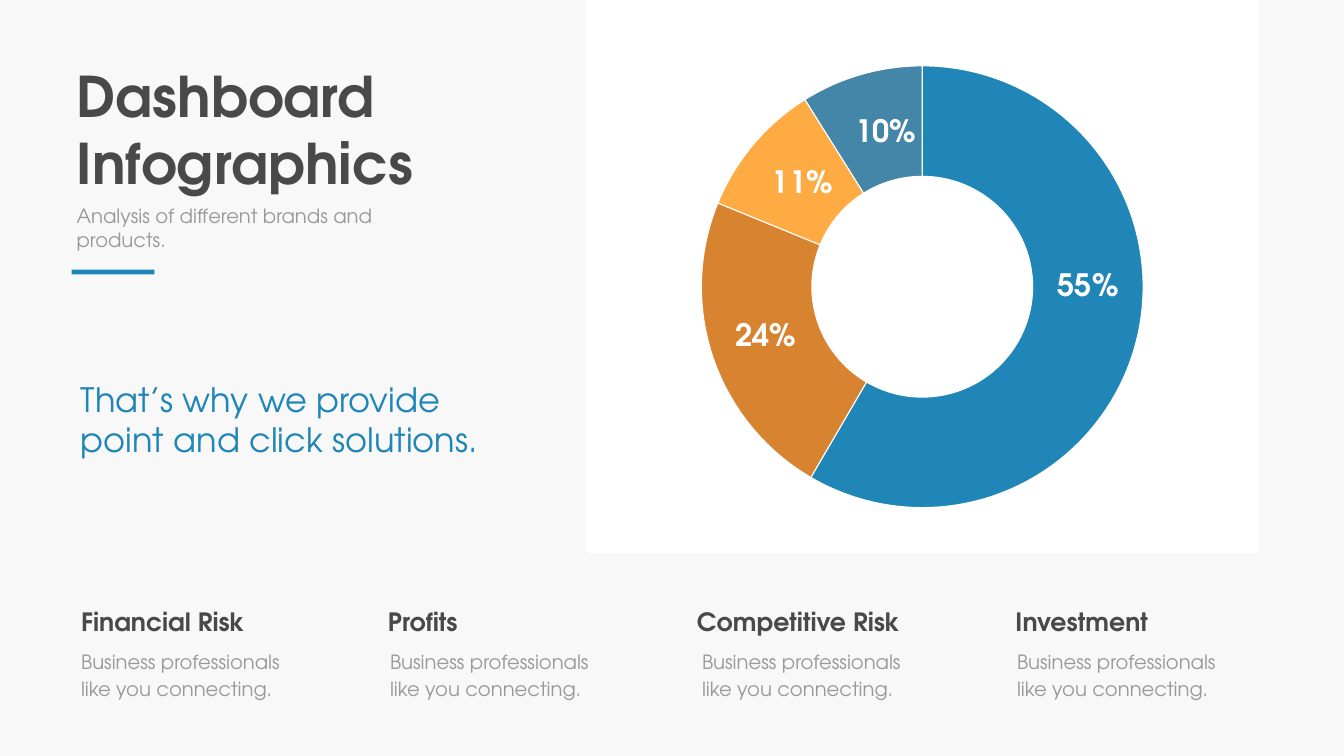
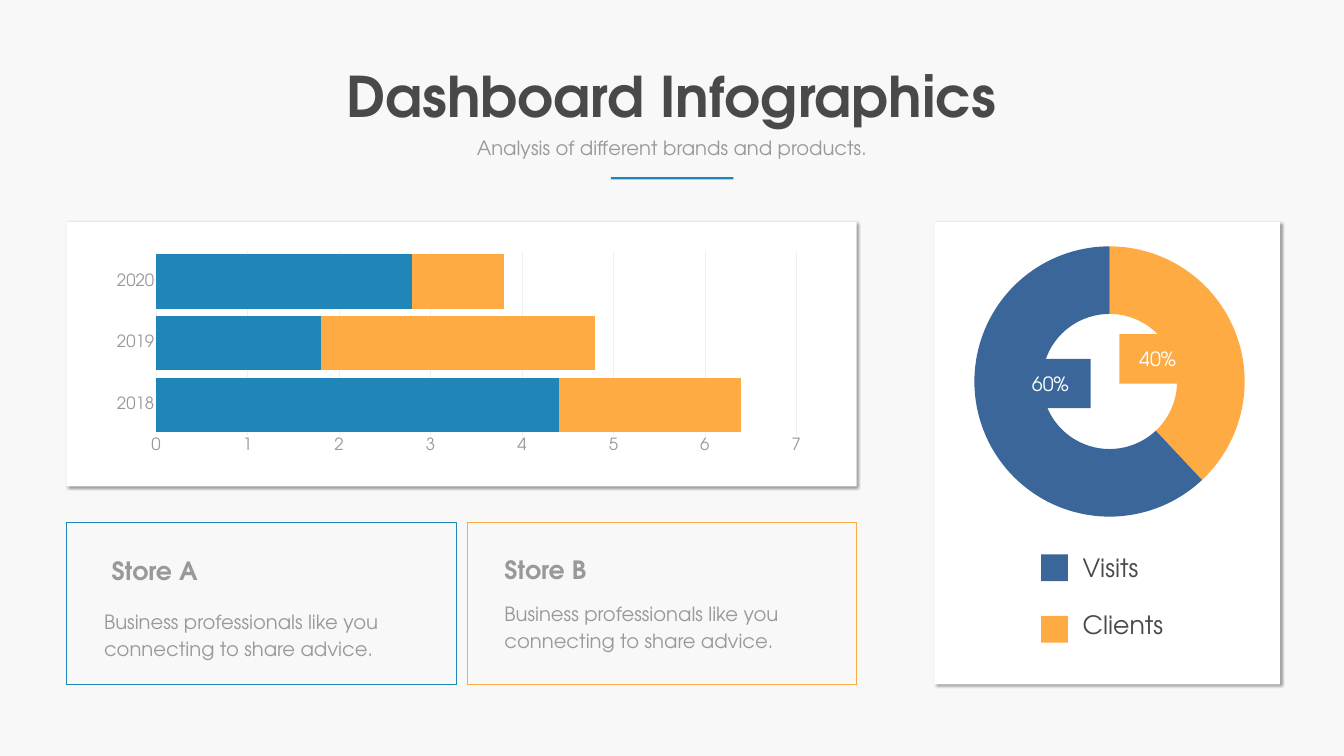
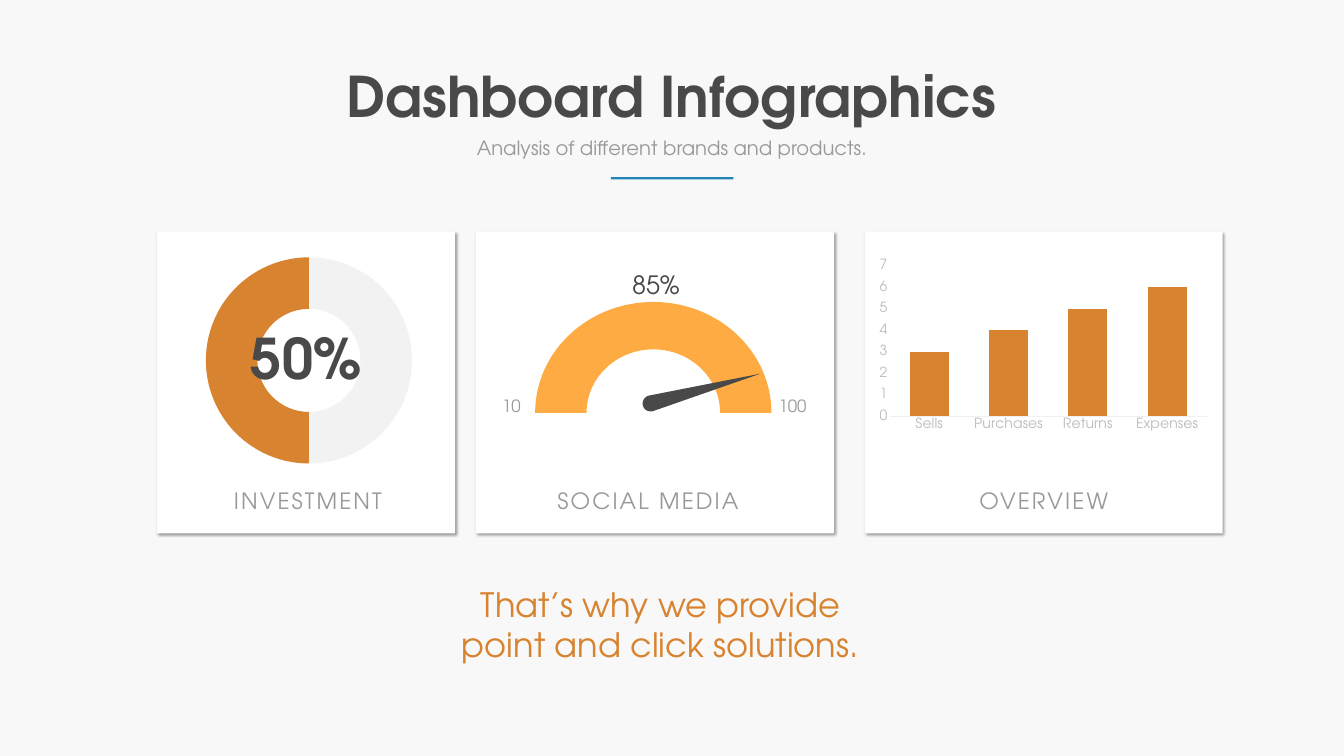
import math

import lxml.etree
import pptx
import pptx.chart.data
import pptx.dml.color
import pptx.enum.chart
import pptx.enum.shapes
import pptx.enum.text
import pptx.oxml
import pptx.oxml.ns
import pptx.util

Pt = pptx.util.Pt
qn = pptx.oxml.ns.qn
ALIGN = pptx.enum.text.PP_ALIGN
CHART = pptx.enum.chart.XL_CHART_TYPE

FONT = "TeX Gyre Adventor"
COLORS = {
    "page": "F8F8F8", "white": "FFFFFF", "dark": "494949", "gray": "999999",
    "pale": "BDBDBD", "grid": "F0F0F0", "empty": "F2F2F2", "blue": "2086B7",
    "steel": "4486A7", "navy": "3A6699", "orange": "D78330", "amber": "FEAB44",
    "black": "000000",
}
QUOTE = "That’s why we provide point and click solutions."

# Header arrangements: title, subtitle and rule boxes
HEADER_LEFT = {"title": (102.4, 84.2, 646, 201), "subtitle": (102.4, 288, 465, 75),
               "rule": (102.4, 385, 118, 7), "align": ALIGN.LEFT, "wrap": True}
HEADER_CENTER = {"title": (481.7, 84.2, 955.4, 104.4), "subtitle": (615.6, 190.8, 688.3, 41),
                 "rule": (872.6, 253.2, 175, 3), "align": ALIGN.CENTER, "wrap": False}


def color(name):
    return pptx.dml.color.RGBColor.from_string(COLORS[name])


def lengths(*values):
    return [Pt(v) for v in values]


def write(tf, text, size, tint, bold=False, align=ALIGN.LEFT, leading=None, tracking=None):
    p = tf.paragraphs[0]
    p.alignment = align
    if leading:
        p.line_spacing = Pt(leading)
    r = p.add_run()
    r.text = text
    r.font.name, r.font.size, r.font.bold = FONT, Pt(size), bold
    r.font.color.rgb = color(tint)
    if tracking:
        r._r.get_or_add_rPr().set("spc", str(tracking * 100))


def add_text(shapes, box, text, size, tint, **style):
    tf = shapes.add_textbox(*lengths(*box)).text_frame
    tf.word_wrap = True
    tf.auto_size = pptx.enum.text.MSO_AUTO_SIZE.SHAPE_TO_FIT_TEXT
    write(tf, text, size, tint, **style)


def paint(sp, fill=None, line=None):
    sp.shadow.inherit = False
    if fill:
        sp.fill.solid()
        sp.fill.fore_color.rgb = color(fill)
    else:
        sp.fill.background()
    if line:
        sp.line.color.rgb = color(line)
        sp.line.width = Pt(1)
    else:
        sp.line.fill.background()
    return sp


def add_rect(shapes, box, fill=None, line=None):
    kind = pptx.enum.shapes.MSO_SHAPE.RECTANGLE
    return paint(shapes.add_shape(kind, *lengths(*box)), fill, line)


def add_card(shapes, box):
    """White panel with a soft shadow to the lower right."""
    sp = add_rect(shapes, box, "white")
    effects = sp._element.spPr.find(qn("a:effectLst"))
    shadow = lxml.etree.SubElement(
        effects, qn("a:outerShdw"), blurRad=str(Pt(4)), dist=str(Pt(3)),
        dir=str(45 * 60000), algn="tl", rotWithShape="0")
    tint = lxml.etree.SubElement(shadow, qn("a:srgbClr"), val=COLORS["black"])
    lxml.etree.SubElement(tint, qn("a:alpha"), val="40000")


def arc(cx, cy, rx, ry, *stops):
    """Start point of an elliptic arc, then one Bezier curve from stop to stop."""
    def at(a, pull=0):
        return (cx + rx * (math.cos(a) - pull * math.sin(a)),
                cy + ry * (math.sin(a) + pull * math.cos(a)))

    angles = [math.radians(stop) for stop in stops]
    segments = [[at(angles[0])]]
    for a, b in zip(angles, angles[1:]):
        pull = 4 / 3 * math.tan((b - a) / 4)
        segments.append([at(a, pull), at(b, -pull), at(b)])
    return segments


def add_outline(shapes, x, y, segments, fill):
    """Closed outline; a segment is one point (line) or three (curve)."""
    segments = [[lengths(x + px, y + py) for px, py in seg] for seg in segments]
    ends = [seg[-1] for seg in segments]
    builder = shapes.build_freeform(*ends[0], scale=1.0)
    builder.add_line_segments(ends[1:], close=True)
    sp = paint(builder.convert_to_shape(), fill)
    outline = next(sp._element.iter(qn("a:path")))
    for line, seg in zip(outline.findall(qn("a:lnTo")), segments[1:]):
        if len(seg) == 3:
            curve = lxml.etree.Element(qn("a:cubicBezTo"))
            for px, py in seg:
                lxml.etree.SubElement(curve, qn("a:pt"), x=str(px - sp.left), y=str(py - sp.top))
            outline.replace(line, curve)
    return sp


def add_chart(shapes, box, kind, categories, series, font, size):
    data = pptx.chart.data.CategoryChartData()
    data.categories = categories
    for number, values in enumerate(series, 1):
        data.add_series(f"Series {number}", values)
    chart = shapes.add_chart(kind, *lengths(*box), data).chart
    chart.has_legend = chart.has_title = False
    chart.font.name, chart.font.size = font, Pt(size)
    chart.font.color.rgb = color("gray")
    return chart


def add_donut(shapes, box, values, tints, hole, border=None):
    names = [str(i + 1) for i in range(len(values))]
    chart = add_chart(shapes, box, CHART.DOUGHNUT, names, [values], "Calibri", 10)
    plot = chart.plots[0]
    plot.vary_by_categories = True
    plot._element.find(qn("c:holeSize")).set("val", str(hole))
    for i, tint in enumerate(tints):
        fmt = plot.series[0].points[i].format
        fmt.fill.solid()
        fmt.fill.fore_color.rgb = color(tint)
        if border:
            fmt.line.color.rgb = color(border)
            fmt.line.width = Pt(1.5)
        else:
            fmt.line.fill.background()
    return chart


def set_plot_box(chart, x, y, w, h):
    """Fix the inner plot area as fractions of the chart."""
    area = chart._chartSpace.chart.plotArea
    for old in area.findall(qn("c:layout")):
        area.remove(old)
    layout = lxml.etree.Element(qn("c:layout"))
    manual = lxml.etree.SubElement(layout, qn("c:manualLayout"))
    for tag, value in (("layoutTarget", "inner"), ("xMode", "edge"), ("yMode", "edge"),
                       ("x", x), ("y", y), ("w", w), ("h", h)):
        lxml.etree.SubElement(manual, qn(f"c:{tag}"), val=str(value))
    area.insert(0, layout)


def add_bars(shapes, box, kind, categories, series, tints, gap, font, size, tint, grid):
    chart = add_chart(shapes, box, kind, categories, series, font, 20)
    plot = chart.plots[0]
    plot.vary_by_categories = False
    plot.gap_width, plot.overlap = gap, 100
    for ser, fill in zip(plot.series, tints):
        ser.format.fill.solid()
        ser.format.fill.fore_color.rgb = color(fill)
    for axis in (chart.category_axis, chart.value_axis):
        axis.major_tick_mark = axis.minor_tick_mark = pptx.enum.chart.XL_TICK_MARK.NONE
        label = axis.tick_labels.font
        label.name, label.size = FONT, Pt(size)
        label.color.rgb = color(tint)
    chart.category_axis.format.line.color.rgb = color("grid")
    chart.category_axis.format.line.width = Pt(0.75)
    value = chart.value_axis
    value.minimum_scale, value.maximum_scale, value.major_unit = 0, 7, 1
    value.format.line.fill.background()
    value.has_major_gridlines = grid
    if grid:
        value.major_gridlines.format.line.color.rgb = color("grid")
        value.major_gridlines.format.line.width = Pt(0.75)


def add_header(s, header):
    sp = s.shapes.title
    sp.left, sp.top, sp.width, sp.height = lengths(*header["title"])
    tf = sp.text_frame
    tf.word_wrap = header["wrap"]
    tf.auto_size = pptx.enum.text.MSO_AUTO_SIZE.SHAPE_TO_FIT_TEXT
    tf.vertical_anchor = pptx.enum.text.MSO_ANCHOR.TOP
    write(tf, "Dashboard Infographics", 80, "dark", bold=True, align=header["align"])
    add_text(s.shapes, header["subtitle"], "Analysis of different brands and products.",
             28, "gray", align=header["align"])
    add_rect(s.shapes, header["rule"], "blue")


def new_slide(prs, header):
    s = prs.slides.add_slide(prs.slide_layouts[5])
    add_header(s, header)
    return s


# Slide 1: market share
def share_panel(s, x, y, w, h):
    add_rect(s.shapes, (x, y, w, h), "white")
    add_donut(s.shapes, (x - 8, y + 84.2, 976.3, 650.9), (59, 23, 10, 9),
              ("blue", "orange", "amber", "steel"), 50, border="white")
    for text, dx, dy in (("24%", 123.8, 447.8), ("55%", 584.6, 375.8),
                         ("11%", 176.4, 228.4), ("10%", 295.2, 155.5)):
        add_text(s.shapes, (x + dx, y + dy, 265, 60.5), text, 44, "white",
                 bold=True, align=ALIGN.CENTER)


def topic_column(s, x, y, heading, width, indent):
    shapes = s.shapes.add_group_shape().shapes
    add_text(shapes, (x + indent, y + 57.9, 335.5, 85),
             "Business professionals like you connecting.", 28, "gray", leading=38.6)
    add_text(shapes, (x, y, width, 51), heading, 36, "dark", bold=True)


def share_slide(prs):
    s = new_slide(prs, HEADER_LEFT)
    share_panel(s, 837.4, 0, 960.5, 790)
    for heading, x, width, indent in (("Financial Risk", 108.7, 275, 0),
                                      ("Profits", 547.2, 294, 2.9),
                                      ("Competitive Risk", 988.6, 352, 7.2),
                                      ("Investment", 1443.6, 304, 2.2)):
        topic_column(s, x, 862.6, heading, width, indent)
    add_text(s.shapes, (108.4, 537.8, 634, 124), QUOTE, 48, "blue")


# Slide 2: stores and visitors
def years_panel(s, x, y, w, h):
    add_card(s.shapes, (x, y, w, h))
    add_bars(s.shapes, (x + 51.8, y + 34.6, 1018, 301.7), CHART.BAR_STACKED,
             ("2018", "2019", "2020"), ((4.4, 1.8, 2.8), (2, 3, 1)),
             ("blue", "amber"), 13, "Manrope", 24, "gray", True)


def visitors_panel(s, x, y, w, h):
    add_card(s.shapes, (x, y, w, h))
    # Legend
    for i, (text, tint) in enumerate((("Visits", "navy"), ("Clients", "amber"))):
        add_rect(s.shapes, (x + 152.6, y + 474.5 + 87.8 * i, 38.2, 38.2), tint)
        add_text(s.shapes, (x + 204.5, y + 468 + 81.4 * i, 214.6, 51), text, 36, "dark")
    add_donut(s.shapes, (x + 41, y + 24.5, 418.3, 406), (38, 62), ("amber", "navy"), 65)
    # Tags: box left, label indent, top
    for text, tint, dx, indent, dy in (("60%", "navy", 68.4, 42.5, 195),
                                       ("40%", "amber", 264.2, 0, 160)):
        add_rect(s.shapes, (x + dx, y + dy, 154.8, 70.6), tint)
        add_text(s.shapes, (x + dx + indent, y + dy + 15.1, 109.4, 41), text, 28, "white",
                 align=ALIGN.CENTER)


def store_box(s, x, y, w, h, name, line, heading_at, body_top):
    add_rect(s.shapes, (x, y, w, h), line=line)
    add_text(s.shapes, (x + 46.1, y + body_top, 411, 83),
             "Business professionals like you connecting to share advice.", 28, "gray",
             leading=38.6)
    dx, dy = heading_at
    add_text(s.shapes, (x + dx, y + dy, 310, 51), name, 36, "gray", bold=True)


def stores_slide(prs):
    s = new_slide(prs, HEADER_CENTER)
    years_panel(s, 94.9, 317.5, 1129, 377.3)
    visitors_panel(s, 1334.9, 317.5, 494, 660.2)
    store_box(s, 95.5, 746.6, 556.6, 231, "Store A", "blue", (56.9, 43.2), 116.6)
    store_box(s, 667.4, 746.6, 556.6, 231, "Store B", "amber", (46.1, 41.8), 105.1)


# Slide 3: three indicator cards
def caption(s, x, y, text):
    add_text(s.shapes, (x, y + 361.4, 352.8, 46), text, 32, "gray",
             align=ALIGN.CENTER, tracking=3)


def investment_card(s, x, y):
    chart = add_donut(s.shapes, (x - 33.1, y + 25.9, 548.6, 365.8), (50, 50),
                      ("empty", "orange"), 75)
    set_plot_box(chart, 0.187, 0.03, 0.537, 0.806)
    add_text(s.shapes, (x + 105, y + 128, 216, 104.4), "50%", 80, "dark",
             bold=True, align=ALIGN.CENTER)
    caption(s, x + 38.9, y, "INVESTMENT")


def social_card(s, x, y):
    shapes = s.shapes.add_group_shape().shapes
    # Dial
    dial = (arc(253, 259.2, 168.8, 158.4, 360, 270, 180)
            + arc(253, 259.2, 95.4, 90.7, 180, 270, 360))
    add_outline(shapes, x, y, dial, "amber")
    # Needle: round hub and a tip, turned to the reading
    needle = arc(11.5, 157, 11.5, 11.5, 15, 90, 180, 195) + [[(53.3, 0)]]
    add_outline(shapes, x + 293, y + 138.2, needle, "dark").rotation = 59.9
    # Scale
    add_text(shapes, (x + 8.6, y + 219.6, 62, 44), "10", 24, "gray",
             align=ALIGN.RIGHT, leading=40.8)
    add_text(shapes, (x + 424.8, y + 219.6, 79.2, 44), "100", 24, "gray", leading=40.8)
    add_text(shapes, (x + 9.4, y + 50.4, 494.6, 51), "85%", 36, "dark", align=ALIGN.CENTER)
    caption(s, x + 69.1, y, "SOCIAL MEDIA")


def overview_card(s, x, y):
    add_bars(s.shapes, (x + 11.5, y + 34.6, 486.7, 256.3), CHART.COLUMN_STACKED,
             ("Sells", "Purchases", "Returns", "Expenses"), ((3, 4, 5, 6),),
             ("orange",), 103, "Lato", 20, "pale", False)
    caption(s, x + 79.2, y, "OVERVIEW")


def indicators_slide(prs):
    s = new_slide(prs, HEADER_CENTER)
    top = 330.6
    cards = ((investment_card, 224.6, 425.5), (social_card, 680.3, 511.2),
             (overview_card, 1235.5, 511.2))
    panels = s.shapes.add_group_shape().shapes
    for _, x, width in cards:
        add_card(panels, (x, top, width, 431.3))
    for fill_card, x, _ in cards:
        fill_card(s, x, top)
    add_text(s.shapes, (626.4, 830.6, 634, 124), QUOTE, 48, "orange", align=ALIGN.CENTER)


def main():
    prs = pptx.Presentation()
    prs.slide_width, prs.slide_height = lengths(1920, 1080)
    fill = prs.slide_master.background.fill
    fill.solid()
    fill.fore_color.rgb = color("page")
    share_slide(prs)
    stores_slide(prs)
    indicators_slide(prs)
    prs.save("out.pptx")


if __name__ == "__main__":
    main()
